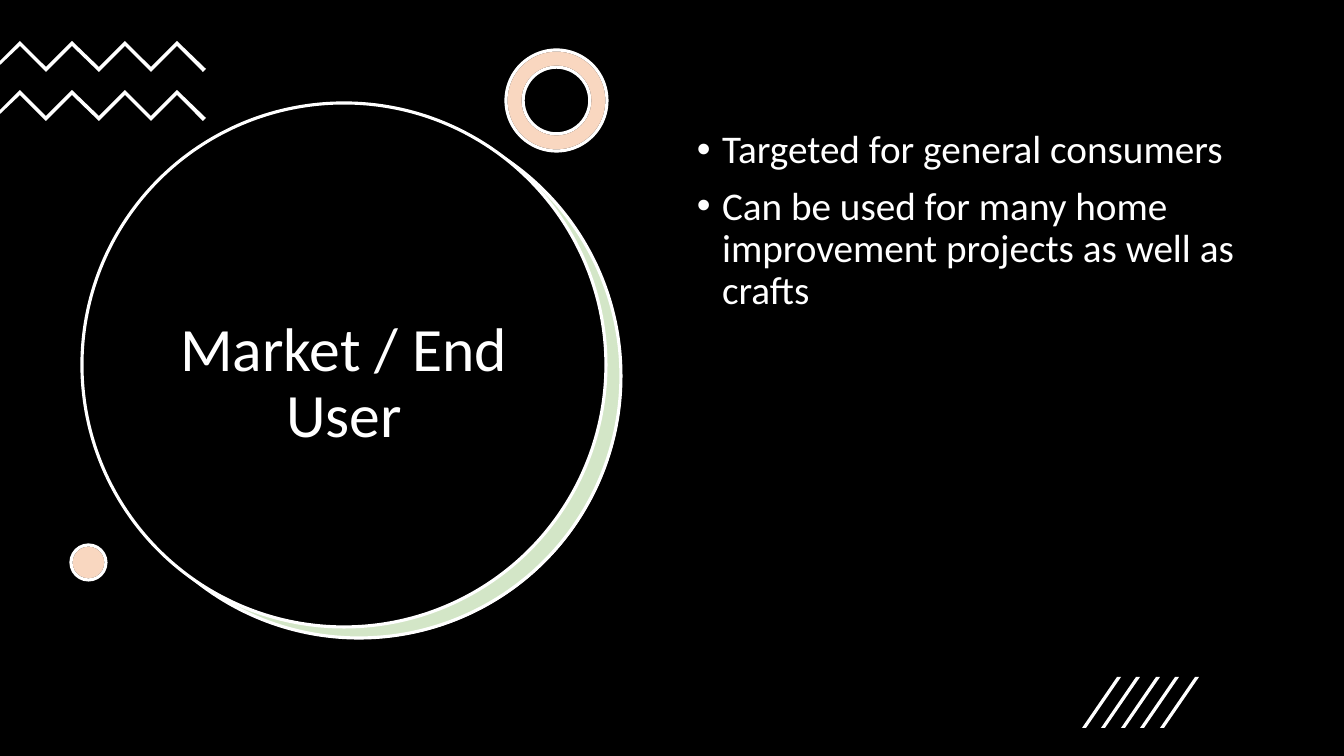
from lxml import etree
from pptx import Presentation
from pptx.dml.color import RGBColor
from pptx.enum.shapes import MSO_SHAPE
from pptx.enum.text import MSO_ANCHOR, PP_ALIGN
from pptx.oxml.ns import qn
from pptx.util import Emu, Pt

RECT, OVAL, DONUT = MSO_SHAPE.RECTANGLE, MSO_SHAPE.OVAL, MSO_SHAPE.DONUT
TOP, MIDDLE = MSO_ANCHOR.TOP, MSO_ANCHOR.MIDDLE
LEFT, CENTER = PP_ALIGN.LEFT, PP_ALIGN.CENTER

SCALE = 914400 / 100.8  # EMU per pixel
FONT = "Calibri"
COLORS = {"black": "000000", "white": "FFFFFF", "green": "70AD47", "orange": "ED7D31"}


def px(n):
    return Emu(round(n * SCALE))


def rgb(name):
    return RGBColor.from_string(COLORS[name])


def paint(sp, fill, line=None, alpha=None):
    sp.shadow.inherit = False
    sp.fill.solid()
    sp.fill.fore_color.rgb = rgb(fill)
    if alpha:
        clr = sp.fill._xPr.find(qn("a:solidFill"))[0]
        etree.SubElement(clr, qn("a:alpha")).set("val", str(alpha * 1000))
    if line:
        sp.line.color.rgb = rgb(line)
        sp.line.width = Pt(2.25)
    else:
        sp.line.fill.background()


def add_preset(s, kind, box, fill, line=None, alpha=None):
    sp = s.shapes.add_shape(kind, *map(px, box))
    paint(sp, fill, line, alpha)
    return sp


def add_tinted(s, kind, box, fill):
    """A translucent shape over a white backing of the same size."""
    return [add_preset(s, kind, box, "white", "black"),
            add_preset(s, kind, box, fill, "white", alpha=30)]


def add_polygon(group, points):
    fb = group.shapes.build_freeform(*points[0], scale=SCALE)
    fb.add_line_segments(points[1:], close=True)
    paint(fb.convert_to_shape(), "white")


def add_zigzag(group, top):
    xs = [round(20 + 26.2 * i) for i in range(7)]
    upper = [(x, top + 26 * (i % 2)) for i, x in enumerate(xs)]
    lower = [(x, y + 5) for x, y in reversed(upper)]
    tip = [(206, top + 28), (203, top + 31)]
    edge = [(0, top + 24), (0, top + 20)]
    add_polygon(group, upper + tip + lower + edge)


def add_stripe(group, x):
    add_polygon(group, [(x + 4, 728), (x, 728), (x + 35, 677), (x + 39, 677)])


def add_bullet(p, space):
    pPr = p._p.get_or_add_pPr()
    pPr.set("marL", "228600")
    pPr.set("indent", "-228600")
    p.space_before = Pt(space)
    etree.SubElement(pPr, qn("a:buFont")).set("typeface", "Arial")
    etree.SubElement(pPr, qn("a:buChar")).set("char", "•")


def add_text(s, box, lines, size, align=LEFT, anchor=TOP, bullets=False):
    tf = s.shapes.add_textbox(*map(px, box)).text_frame
    tf.word_wrap = True
    tf.vertical_anchor = anchor
    for i, line in enumerate(lines):
        p = tf.add_paragraph() if i else tf.paragraphs[0]
        p.alignment = align
        p.line_spacing = 0.9
        if bullets:
            add_bullet(p, 10)
        r = p.add_run()
        r.text = line
        r.font.name = FONT
        r.font.size = Pt(size)
        r.font.color.rgb = rgb("white")


def main():
    prs = Presentation()
    prs.slide_width, prs.slide_height = px(1344), px(756)
    s = prs.slides.add_slide(prs.slide_layouts[6])

    # Backdrop and large circle with its green crescent
    add_preset(s, RECT, (0, 0, 1344, 756), "black")
    add_preset(s, OVAL, (98, 115, 524, 524), "white")
    add_preset(s, OVAL, (97, 114, 524, 524), "green", "white", alpha=30)
    add_preset(s, OVAL, (82, 103, 524, 524), "black", "white")
    add_text(s, (122, 207, 444, 355), ["Market / End User"], 44, CENTER, MIDDLE)

    # Zigzags
    zigzags = s.shapes.add_group_shape()
    for top in (41, 90):
        add_zigzag(zigzags, top)

    # Ring and dot
    for ring in add_tinted(s, DONUT, (506, 50, 101, 101), "orange"):
        ring.adjustments[0] = 0.17
    add_tinted(s, OVAL, (71, 545, 35, 35), "orange")

    # Bullet points
    add_text(s, (687, 125, 576, 537),
             ["Targeted for general consumers",
              "Can be used for many home improvement projects as well as crafts"],
             28, bullets=True)

    # Slanted stripes
    stripes = s.shapes.add_group_shape()
    for i in range(5):
        add_stripe(stripes, round(1082 + 19.4 * i))

    prs.save("out.pptx")


main()
